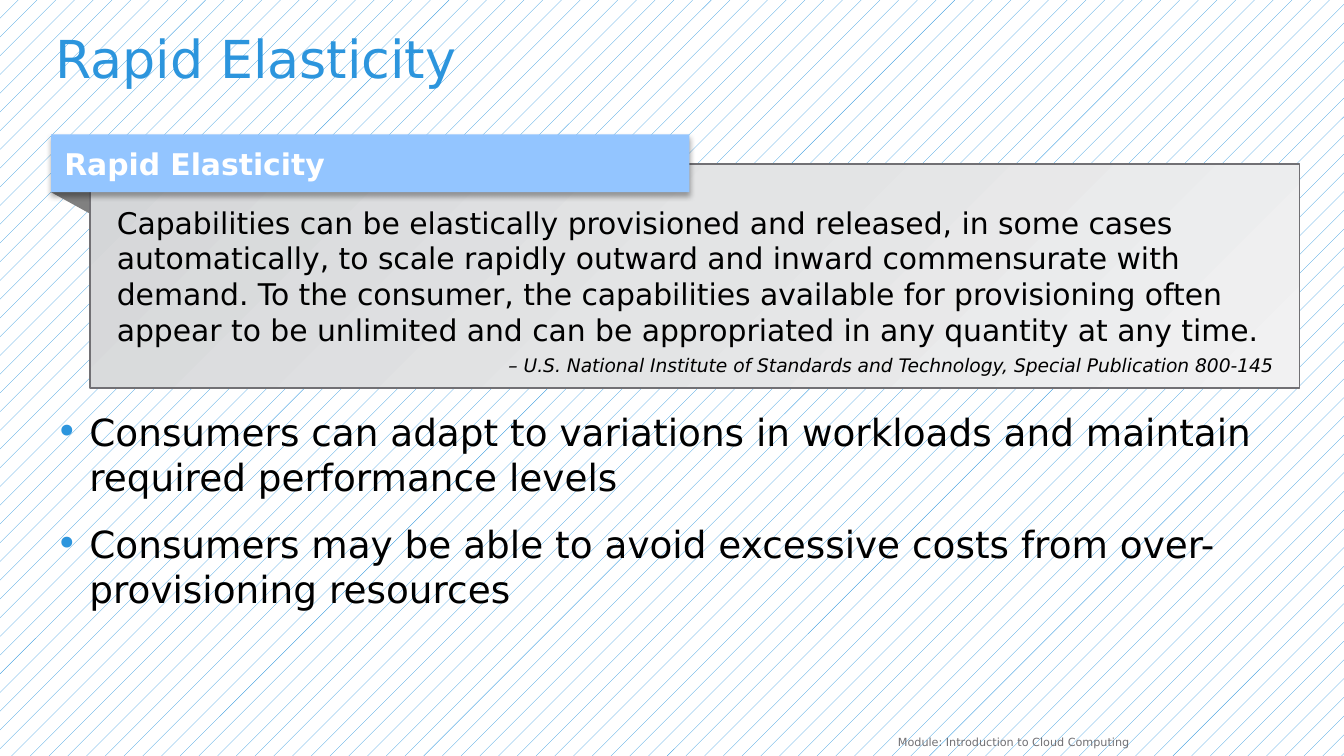
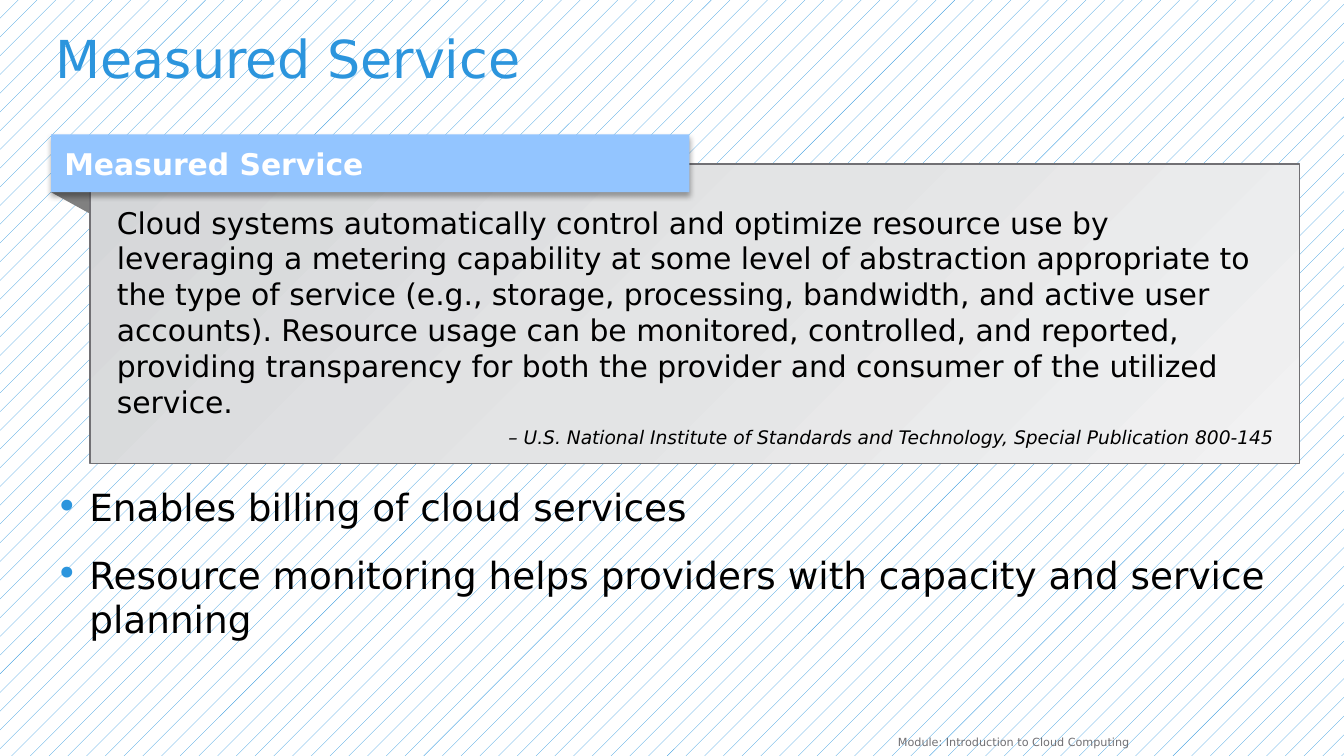
from dataclasses import dataclass
from typing import Any

from lxml.etree import SubElement
from pptx import Presentation
from pptx.dml.color import RGBColor
from pptx.enum.dml import MSO_PATTERN
from pptx.enum.shapes import MSO_SHAPE
from pptx.enum.text import MSO_ANCHOR, PP_ALIGN
from pptx.oxml import parse_xml
from pptx.oxml.ns import nsdecls, qn
from pptx.util import Inches, Pt

# Widescreen slide on a grid whose cell is a tenth of an inch
WIDTH = Inches(10)
HEIGHT = WIDTH * 9 // 16
COLUMNS, ROWS = 100, 56.25

COLORS = {
    "accent": "2C95DD", "banner": "93C5FF", "fold": "808080", "muted": "717074",
    "text": "000000", "paper": "FFFFFF",
}
PANEL_STOPS = {0: "D4D6D8", 50: "E3E4E5", 100: "F1F1F2"}

FONT = "DejaVu Sans"
FONTS: dict[str, dict[str, Any]] = {
    "title": {"size": Pt(28), "color": "accent"},
    "banner": {"size": Pt(16), "color": "paper", "bold": True},
    "quote": {"size": Pt(16), "color": "text"},
    "source": {"size": Pt(10), "color": "text", "italic": True},
    "bullet": {"size": Pt(20), "color": "text"},
    "footer": {"size": Pt(6), "color": "muted"},
}
PARAGRAPHS: dict[str, dict[str, Any]] = {
    "title": {"line_spacing": 0.9},
    "source": {"alignment": PP_ALIGN.RIGHT, "space_before": Pt(3.5)},
    "bullet": {"space_before": Pt(12)},
    "footer": {"alignment": PP_ALIGN.RIGHT},
}

FOOTER = "Module: Introduction to Cloud Computing"
SOURCE = "– U.S. National Institute of Standards and Technology, Special Publication 800-145"


@dataclass(frozen=True)
class Area:
    """A place on the grid, in columns and rows."""
    column: float
    row: float
    columns: float
    rows: float

    @property
    def bottom(self) -> float:
        return self.row + self.rows

    def lengths(self) -> tuple[int, int, int, int]:
        across, down = WIDTH / COLUMNS, HEIGHT / ROWS
        return (round(self.column * across), round(self.row * down),
                round(self.columns * across), round(self.rows * down))


@dataclass(frozen=True)
class Characteristic:
    name: str
    definition: str
    panel_rows: float
    benefits: tuple[str, ...]


TITLE = Area(4.15, 2.5, 92.5, 5)
BANNER = Area(3.8, 10, 47.5, 4.3)
FOOTER_AREA = Area(28.3, 54.2, 56.7, 1.5)
PANEL_COLUMN, PANEL_ROW, PANEL_COLUMNS = 6.7, 12.2, 90
FOLD = Area(BANNER.column, BANNER.bottom, PANEL_COLUMN - BANNER.column, 1.6)
BENEFITS_GAP, BENEFITS_BOTTOM = 1.55, 48.3

CHARACTERISTICS = (
    Characteristic(
        "Rapid Elasticity",
        "Capabilities can be elastically provisioned and released, in some cases "
        "automatically, to scale rapidly outward and inward commensurate with demand. "
        "To the consumer, the capabilities available for provisioning often appear to be "
        "unlimited and can be appropriated in any quantity at any time.",
        16.7,
        ("Consumers can adapt to variations in workloads and maintain required "
         "performance levels",
         "Consumers may be able to avoid excessive costs from over-provisioning resources"),
    ),
    Characteristic(
        "Measured Service",
        "Cloud systems automatically control and optimize resource use by leveraging a "
        "metering capability at some level of abstraction appropriate to the type of "
        "service (e.g., storage, processing, bandwidth, and active user accounts). "
        "Resource usage can be monitored, controlled, and reported, providing transparency "
        "for both the provider and consumer of the utilized service.",
        22.3,
        ("Enables billing of cloud services",
         "Resource monitoring helps providers with capacity and service planning"),
    ),
)


def color(name: str) -> RGBColor:
    return RGBColor.from_string(COLORS[name])


def add_bullet(paragraph) -> None:
    props = paragraph._p.get_or_add_pPr()
    props.set("marL", str(Inches(0.25)))
    props.set("indent", str(-Inches(0.25)))
    tint = SubElement(props, qn("a:buClr"))
    SubElement(tint, qn("a:srgbClr"), val=COLORS["accent"])
    SubElement(props, qn("a:buFont"), typeface=FONT)
    SubElement(props, qn("a:buChar"), char="•")


def write(shape, lines: list[tuple[str, str]],
          insets: tuple[float, float, float, float] = (0.1, 0.05, 0.1, 0.05),
          anchor: MSO_ANCHOR = MSO_ANCHOR.TOP) -> None:
    """Fill a shape with (role, text) lines."""
    frame = shape.text_frame
    frame.word_wrap = True
    frame.vertical_anchor = anchor
    for side, inset in zip(("left", "top", "right", "bottom"), insets):
        setattr(frame, f"margin_{side}", Inches(inset))
    for index, (role, text) in enumerate(lines):
        paragraph = frame.add_paragraph() if index else frame.paragraphs[0]
        if role == "bullet":
            add_bullet(paragraph)
        layout = {"alignment": PP_ALIGN.LEFT, **PARAGRAPHS.get(role, {})}
        if index == 0:
            layout["space_before"] = Pt(0)
        for attribute, value in layout.items():
            setattr(paragraph, attribute, value)
        run = paragraph.add_run()
        run.text = text
        run.font.name = FONT
        for attribute, value in FONTS[role].items():
            if attribute == "color":
                run.font.color.rgb = color(value)
            else:
                setattr(run.font, attribute, value)


def add_text(slide, area: Area, lines: list[tuple[str, str]], **options: Any) -> None:
    write(slide.shapes.add_textbox(*area.lengths()), lines, **options)


def add_block(slide, kind: MSO_SHAPE, area: Area, fill: str):
    block = slide.shapes.add_shape(kind, *area.lengths())
    block.shadow.inherit = False
    block.fill.solid()
    block.fill.fore_color.rgb = color(fill)
    block.line.fill.background()
    return block


def add_panel_gradient(panel) -> None:
    stops = "".join(f'<a:gs pos="{share * 1000}"><a:srgbClr val="{tint}"/></a:gs>'
                    for share, tint in PANEL_STOPS.items())
    gradient = parse_xml(f'<a:gradFill {nsdecls("a")} rotWithShape="1"><a:gsLst>{stops}</a:gsLst>'
                         '<a:lin ang="2700000" scaled="0"/></a:gradFill>')
    props = panel._element.spPr
    props.replace(props.find(qn("a:solidFill")), gradient)


def add_banner_shadow(banner) -> None:
    effects = banner._element.spPr.find(qn("a:effectLst"))
    effects.append(parse_xml(
        f'<a:outerShdw {nsdecls("a")} blurRad="{Pt(3.1)}" dist="{Pt(1.8)}" dir="5400000" '
        f'rotWithShape="0"><a:srgbClr val="{COLORS["text"]}"><a:alpha val="35000"/>'
        '</a:srgbClr></a:outerShdw>'))


def add_definition(slide, item: Characteristic) -> Area:
    """Draw the quoted definition with its folded banner; return the panel's place."""
    fold = add_block(slide, MSO_SHAPE.RIGHT_TRIANGLE, FOLD, "fold")
    fold.rotation = 180

    area = Area(PANEL_COLUMN, PANEL_ROW, PANEL_COLUMNS, item.panel_rows)
    panel = add_block(slide, MSO_SHAPE.RECTANGLE, area, "paper")
    add_panel_gradient(panel)
    panel.line.color.rgb = color("muted")
    panel.line.width = Pt(1)
    write(panel, [("quote", item.definition), ("source", SOURCE)],
          insets=(0.2, 0.3, 0.2, 0.05))

    banner = add_block(slide, MSO_SHAPE.RECTANGLE, BANNER, "banner")
    add_banner_shadow(banner)
    write(banner, [("banner", item.name)], anchor=MSO_ANCHOR.MIDDLE)
    return area


def add_characteristic(deck, item: Characteristic) -> None:
    slide = deck.slides.add_slide(deck.slide_layouts[6])

    # Background hatch
    backdrop = slide.background.fill
    backdrop.patterned()
    backdrop.pattern = MSO_PATTERN.PERCENT_5
    backdrop.fore_color.rgb = color("accent")
    backdrop.back_color.rgb = color("paper")

    # Title, definition, benefits and footer
    flush = (0, 0, 0, 0)
    add_text(slide, TITLE, [("title", item.name)], insets=flush)
    panel = add_definition(slide, item)
    top = panel.bottom + BENEFITS_GAP
    benefits = Area(TITLE.column, top, TITLE.columns, BENEFITS_BOTTOM - top)
    add_text(slide, benefits, [("bullet", text) for text in item.benefits], insets=flush)
    add_text(slide, FOOTER_AREA, [("footer", FOOTER)])


def main() -> None:
    deck = Presentation()
    deck.slide_width, deck.slide_height = WIDTH, HEIGHT
    for item in CHARACTERISTICS:
        add_characteristic(deck, item)
    deck.save("out.pptx")


if __name__ == "__main__":
    main()
